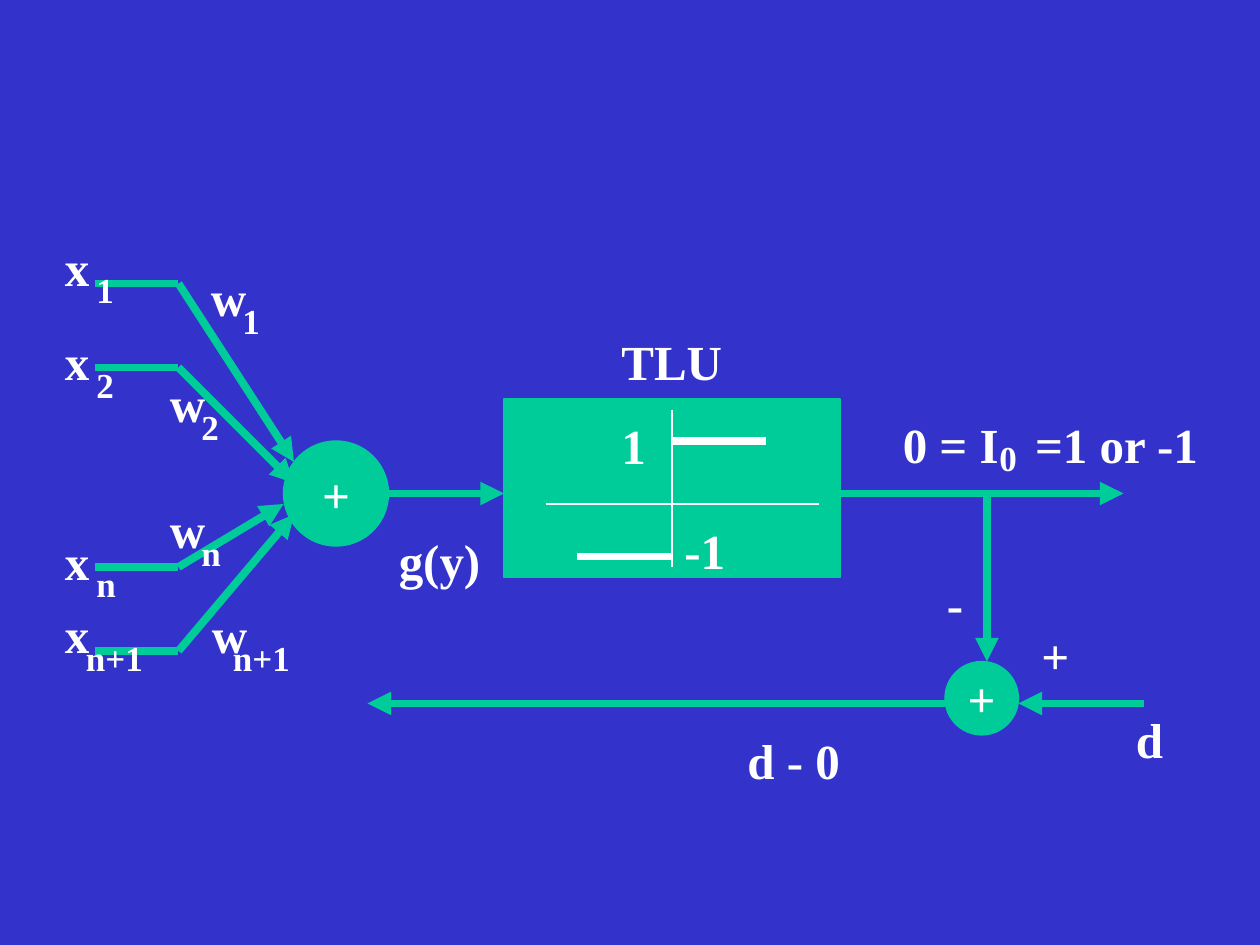
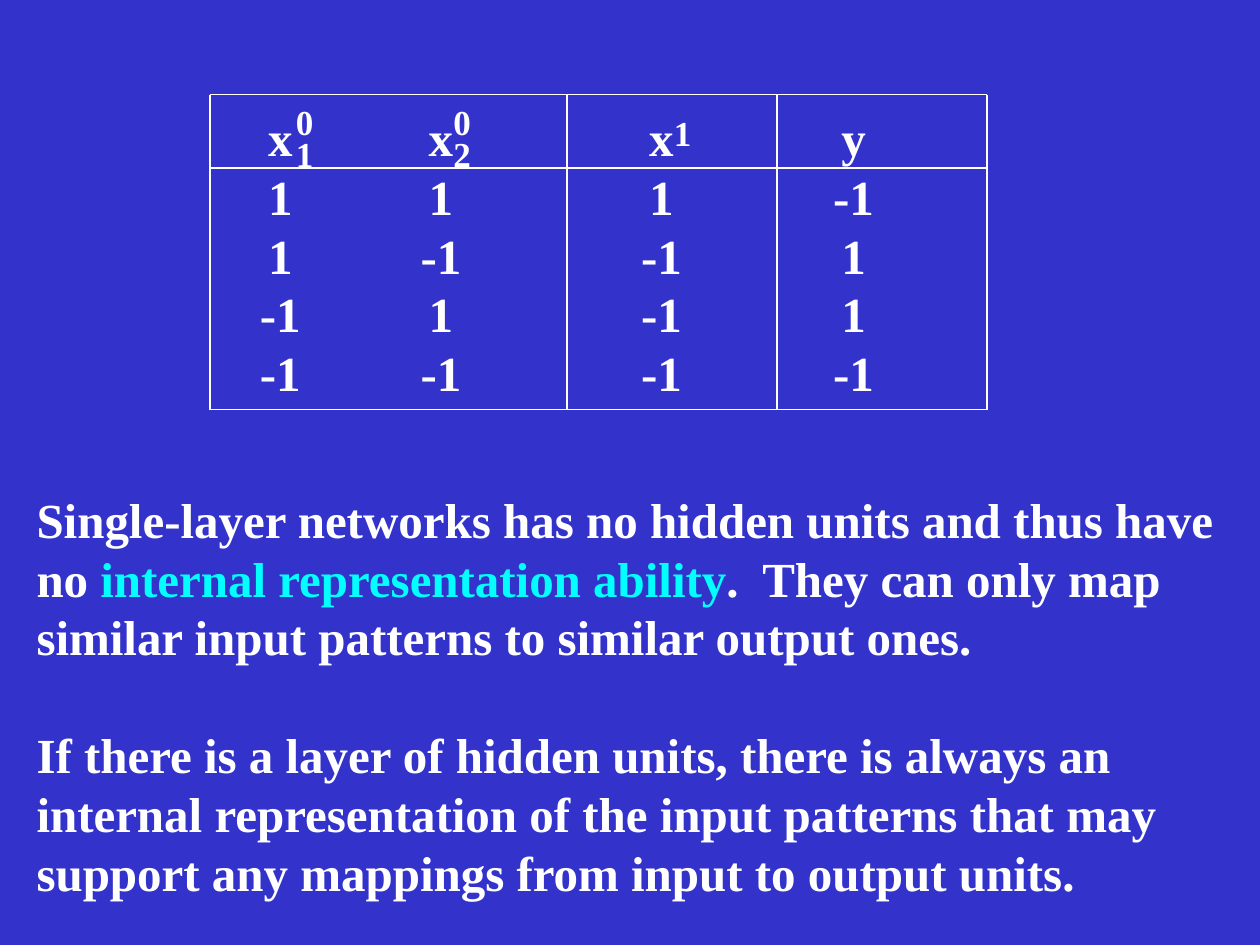
import pptx
import pptx.util
import pptx.dml.color
import pptx.enum.shapes
import pptx.enum.text
import pptx.oxml
import pptx.oxml.ns

WIDTH, HEIGHT = pptx.util.Inches(10), pptx.util.Inches(7.5)
UNIT = WIDTH // 120  # the slide is a grid of 120 columns by 90 rows
COLORS = {"back": "3333CC", "block": "00CC99", "text": "FFFFFF", "accent": "00FFFF"}
FONT = "Times New Roman"
BIG, SMALL = 28, 20
THIN, THICK = 0.75, 4.5
PLAIN_TABLE = "{2D5ABB26-0587-4C30-8999-92F81FD0307C}"  # no style, no grid
SHAPES = pptx.enum.shapes.MSO_SHAPE
CENTER = pptx.enum.text.PP_ALIGN.CENTER
MIDDLE = pptx.enum.text.MSO_ANCHOR.MIDDLE


def grid(n):
    return round(n * UNIT)


def rgb(name):
    return pptx.dml.color.RGBColor.from_string(COLORS[name])


def add_run(p, text, size=BIG, color="text"):
    r = p.add_run()
    r.text = text
    r.font.name = FONT
    r.font.size = pptx.util.Pt(size)
    r.font.bold = True
    r.font.color.rgb = rgb(color)


def make_element(tag, **attributes):
    el = pptx.oxml.parse_xml(f"<{tag} {pptx.oxml.ns.nsdecls('a')}/>")
    for name, value in attributes.items():
        el.set(name, value)
    return el


class Region:
    """A box on the slide; all places are in grid cells from its top left."""

    def __init__(self, s, col, row, width, height):
        self.s, self.col, self.row = s, col, row
        self.width, self.height = width, height

    def place(self, x, y):
        return grid(self.col + x), grid(self.row + y)

    def label(self, x, y, text, size=BIG):
        width = 0.27 * len(text) * size / BIG + 0.2
        height = size / 60 + 0.1
        box = self.s.shapes.add_textbox(
            *self.place(x, y), pptx.util.Inches(width), pptx.util.Inches(height))
        tf = box.text_frame
        tf.word_wrap = True
        add_run(tf.paragraphs[0], text, size)

    def symbol(self, x, y, letter, index):
        self.label(x, y, letter)
        self.label(x + (3 if len(index) == 1 else 2), y + 3, index, SMALL)

    def line(self, start, end, color="block", weight=THICK, arrow=False):
        cx = self.s.shapes.add_connector(
            pptx.enum.shapes.MSO_CONNECTOR.STRAIGHT,
            *self.place(*start), *self.place(*end))
        cx.line.color.rgb = rgb(color)
        cx.line.width = pptx.util.Pt(weight)
        if arrow:
            ln = cx.line._get_or_add_ln()
            ln.append(make_element("a:tailEnd", type="triangle"))
        cx._element.spPr.append(make_element("a:effectLst"))

    def block(self, shape, x, y, width, height, text=""):
        sp = self.s.shapes.add_shape(
            shape, *self.place(x, y), grid(width), grid(height))
        sp.shadow.inherit = False
        sp.fill.solid()
        sp.fill.fore_color.rgb = rgb("block")
        sp.line.color.rgb = rgb("block")
        sp.line.width = pptx.util.Pt(THIN)
        if text:
            tf = sp.text_frame
            tf.word_wrap = False
            tf.vertical_anchor = MIDDLE
            tf.paragraphs[0].alignment = CENTER
            add_run(tf.paragraphs[0], text)


# Slide 1: threshold logic unit with feedback

def draw_inputs(box):
    # index, wire row, arrow tip, row of x, place of w
    inputs = [
        ("1", 5, (23, 22), 0, (13.9, 2.9)),
        ("2", 13, (23, 24), 9, (10, 13)),
        ("n", 32, (22, 26), 28, (10, 25)),
        ("n+1", 40, (23, 27), 35, (14, 35)),
    ]
    box.block(SHAPES.OVAL, 22, 20, 10, 10, "+")
    for index, row, tip, x_row, weight in inputs:
        box.line((4, row), (12, row))
        box.line((12, row), tip, arrow=True)
        box.symbol(0, x_row, "x", index)
        box.symbol(*weight, "w", index)
    # weighted sum
    box.line((32, 25), (43, 25), arrow=True)
    box.label(31.8, 27.9, "g(y)")


def draw_threshold_unit(box):
    box.block(SHAPES.RECTANGLE, 0, 0, box.width, box.height)
    middle = box.width / 2
    # axes
    box.line((4, 10), (30, 10), "text", THIN)
    box.line((middle, 1), (middle, 16), "text", THIN)
    # step function
    box.line((middle, 4), (middle + 9, 4), "text")
    box.line((middle, 15), (middle - 9, 15), "text")
    box.label(10, -7, "TLU")
    box.label(10, 1, "1")
    box.label(middle, 11, "-1")


def draw_output(box):
    box.line((0, 9), (box.width, 9), arrow=True)
    box.label(4.8, 0.9, "0 = I")
    box.label(14, 3, "0", SMALL)
    box.label(17.4, 0.9, "=1 or -1")


def draw_feedback(box):
    box.block(SHAPES.OVAL, 55, 16, 7, 7, "+")
    box.line((59, 0), (59, 16), arrow=True)
    box.line((box.width, 20), (62, 20), arrow=True)
    box.line((55, 20), (0, 20), arrow=True)
    for x, y, text in [(54, 7, "-"), (63, 12, "+"), (72, 20, "d"), (35, 22, "d - 0")]:
        box.label(x, y, text)


# Slide 2: truth table and conclusions

def draw_truth_table(box):
    rows = [("x", "x", "x", "y"),
            ("1", "1", "1", "-1"),
            ("1", "-1", "-1", "1"),
            ("-1", "1", "-1", "1"),
            ("-1", "-1", "-1", "-1")]
    col_widths, right_margins = (13.4, 20.6, 20, 20), (0, 3.4, 2, 5.4)
    row_height = 5.6

    frame = box.s.shapes.add_table(
        len(rows), len(col_widths), *box.place(0, 1.75),
        grid(box.width), grid(row_height * len(rows)))
    table = frame.table
    table.first_row = table.horz_banding = False
    table._tbl.tblPr.find(pptx.oxml.ns.qn("a:tableStyleId")).text = PLAIN_TABLE
    for column, width in zip(table.columns, col_widths):
        column.width = grid(width)
    for table_row, texts in zip(table.rows, rows):
        table_row.height = grid(row_height)
        for cell, text, margin in zip(table_row.cells, texts, right_margins):
            cell.margin_left = cell.margin_top = cell.margin_bottom = 0
            cell.margin_right = grid(margin)
            cell.fill.background()
            p = cell.text_frame.paragraphs[0]
            p.alignment = CENTER
            add_run(p, text)

    # rules
    for y in (0, 7, box.height):
        box.line((0, y), (box.width, y), "text", 1)
    for x, weight in [(0, 1), (34, 1.5), (54, 1), (box.width, 1)]:
        box.line((x, 0), (x, box.height), "text", weight)

    # indices of the header symbols
    for x, y, index in [(7, 3, "1"), (7, 0, "0"), (22, 3, "2"), (22, 0, "0"), (43, 1, "1")]:
        box.label(x, y, index, SMALL)


def draw_conclusions(box):
    paragraphs = [
        [("Single-layer networks has no hidden units and thus have no ", "text"),
         ("internal representation ability", "accent"),
         (".  They can only map similar input patterns to similar output ones.", "text")],
        [("If there is a layer of hidden units, there is always an internal "
          "representation of the input patterns that may support any mappings "
          "from input to output units.", "text")],
    ]
    tf = box.s.shapes.add_textbox(
        *box.place(0, 0), grid(box.width), grid(box.height)).text_frame
    tf.word_wrap = True
    for i, runs in enumerate(paragraphs):
        p = tf.add_paragraph() if i else tf.paragraphs[0]
        p.space_before = pptx.util.Pt(33.5 if i else 0)
        for text, color in runs:
            add_run(p, text, color=color)


def add_slide(prs):
    s = prs.slides.add_slide(prs.slide_layouts[6])
    s.background.fill.solid()
    s.background.fill.fore_color.rgb = rgb("back")
    return s


def main():
    prs = pptx.Presentation()
    prs.slide_width, prs.slide_height = WIDTH, HEIGHT

    s = add_slide(prs)
    draw_threshold_unit(Region(s, 48, 38, 32, 17))
    draw_output(Region(s, 80, 38, 27, 9))
    draw_feedback(Region(s, 35, 47, 74, 29))
    draw_inputs(Region(s, 5, 22, 43, 43))

    s = add_slide(prs)
    draw_truth_table(Region(s, 20, 9, 74, 30))
    draw_conclusions(Region(s, 2.3, 46, 116.4, 40.4))

    prs.save("out.pptx")


if __name__ == "__main__":
    main()
